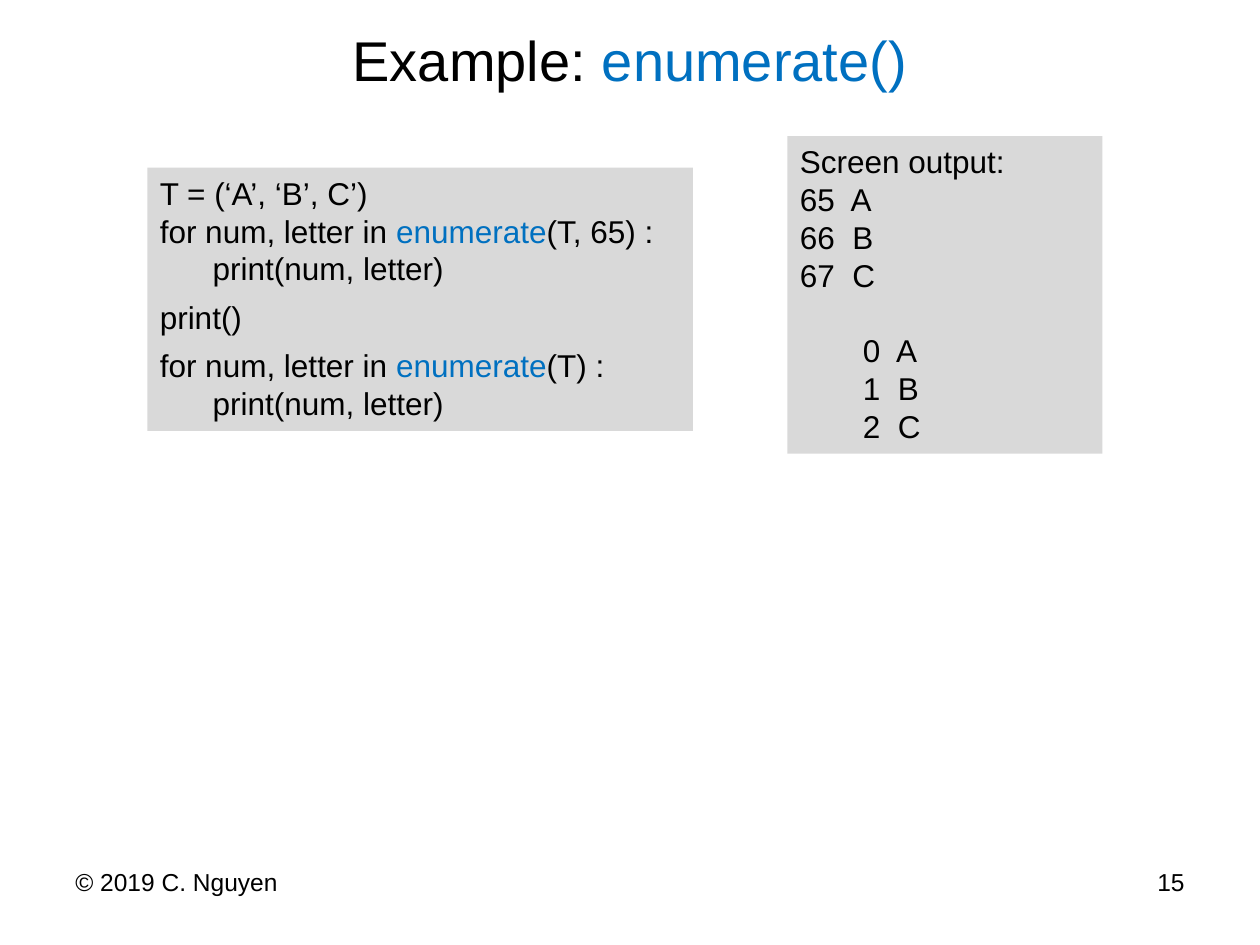
import dataclasses
import typing

import pptx
import pptx.dml.color
import pptx.enum.shapes
import pptx.enum.text
import pptx.util

Inches = pptx.util.Inches
Points = pptx.util.Pt
Align = pptx.enum.text.PP_ALIGN
Anchor = pptx.enum.text.MSO_ANCHOR

BLACK, BLUE, GRAY = "000000", "0070C0", "D9D9D9"
CODE_SIZE = 18
CODE_LINE = 21.6
PRINT_INDENT = 0.42
OUTPUT_INDENT = 0.5


@dataclasses.dataclass
class Line:
    """One paragraph, made of (text, colour) runs."""
    runs: list[tuple[str, str]]
    indent: float = 0
    space_before: float = 0


@dataclasses.dataclass
class Block:
    """A box of text; left, top, width and height are in inches."""
    box: tuple[float, float, float, float]
    lines: list[Line]
    size: float
    align: typing.Any = Align.LEFT
    anchor: typing.Any = Anchor.TOP
    fill: str | None = None
    line_spacing: float | None = None


def color(value: str) -> pptx.dml.color.RGBColor:
    """Turn a hex string into a colour."""
    return pptx.dml.color.RGBColor.from_string(value)


def plain(text: str, indent: float = 0, space_before: float = 0) -> Line:
    """Make a line in black."""
    return Line([(text, BLACK)], indent, space_before)


def loop(arguments: str, space_before: float = 0) -> Line:
    """Make a for line that calls enumerate."""
    runs = [("for num, letter in ", BLACK), ("enumerate", BLUE), (arguments, BLACK)]
    return Line(runs, space_before=space_before)


def add_line(paragraph: typing.Any, line: Line, block: Block) -> None:
    """Write one line into a paragraph."""
    formats = {"alignment": block.align, "space_before": Points(line.space_before)}
    if block.line_spacing:
        formats["line_spacing"] = Points(block.line_spacing)
    for attribute, value in formats.items():
        setattr(paragraph, attribute, value)
    if line.indent:
        paragraph._p.get_or_add_pPr().set("marL", str(Inches(line.indent)))
    for text, run_color in line.runs:
        run = paragraph.add_run()
        run.text = text
        for attribute, value in {"name": "Arial", "size": Points(block.size)}.items():
            setattr(run.font, attribute, value)
        run.font.color.rgb = color(run_color)


def add_block(slide: typing.Any, block: Block) -> None:
    """Draw a block as a filled rectangle or a text box."""
    position = [Inches(length) for length in block.box]
    if block.fill:
        rectangle = pptx.enum.shapes.MSO_SHAPE.RECTANGLE
        shape = slide.shapes.add_shape(rectangle, *position)
        shape.shadow.inherit = False
        shape.fill.solid()
        shape.fill.fore_color.rgb = color(block.fill)
        shape.line.fill.background()
    else:
        shape = slide.shapes.add_textbox(*position)
    frame = shape.text_frame
    for attribute, value in {"word_wrap": True, "vertical_anchor": block.anchor}.items():
        setattr(frame, attribute, value)
    for index, line in enumerate(block.lines):
        paragraph = frame.add_paragraph() if index else frame.paragraphs[0]
        add_line(paragraph, line, block)


title_lines = [Line([("Example: ", BLACK), ("enumerate()", BLUE)])]
code_lines = [
    plain("T = (‘A’, ‘B’, C’)"),
    loop("(T, 65) :"),
    plain("print(num, letter)", PRINT_INDENT),
    plain("print()", space_before=6),
    loop("(T) :", space_before=6),
    plain("print(num, letter)", PRINT_INDENT),
]
output_lines = [
    plain("Screen output:"),
    *[plain(f"{number}  {letter}") for number, letter in enumerate("ABC", 65)],
    *[plain(f"{number}  {letter}", OUTPUT_INDENT, 0 if number else CODE_LINE)
      for number, letter in enumerate("ABC")],
]
code_format = {"size": CODE_SIZE, "fill": GRAY, "line_spacing": CODE_LINE}
BLOCKS = [
    Block((0.5, 0.08, 9, 0.78), title_lines, 32, Align.CENTER, Anchor.MIDDLE),
    Block((7.17, 6.83, 2.33, 0.52), [plain("15")], 14, Align.RIGHT),
    Block((1.17, 1.33, 4.33, 2.09), code_lines, **code_format),
    Block((6.25, 1.08, 2.5, 2.52), output_lines, **code_format),
    Block((0.5, 6.83, 2.33, 0.52), [plain("© 2019 C. Nguyen")], 14),
]

presentation = pptx.Presentation()
presentation.slide_width = Inches(10)
presentation.slide_height = Inches(7.5)
slide = presentation.slides.add_slide(presentation.slide_layouts[6])
for block in BLOCKS:
    add_block(slide, block)
presentation.save("out.pptx")
